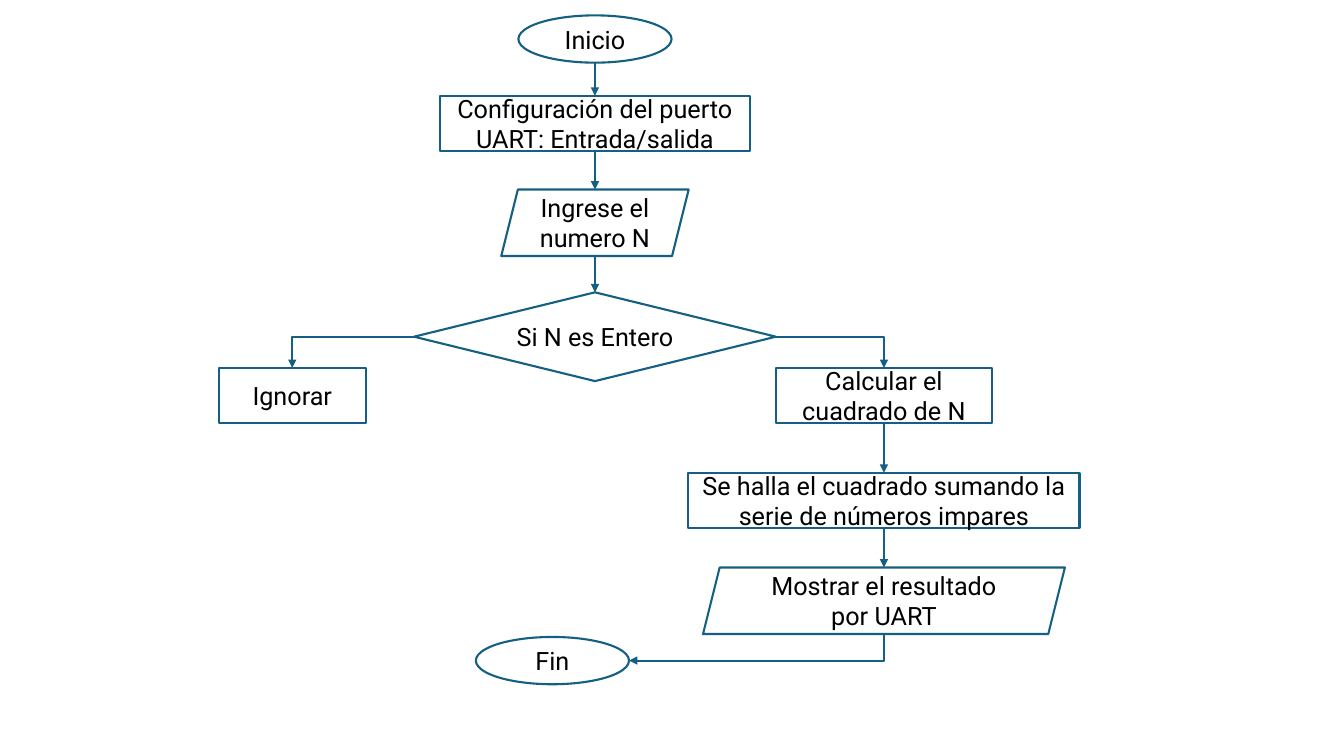
import pptx
import pptx.util
import pptx.dml.color
import pptx.enum.shapes
import pptx.enum.text
import pptx.oxml
import pptx.oxml.ns

Pt = pptx.util.Pt
SHAPE = pptx.enum.shapes.MSO_SHAPE
CONNECTOR = pptx.enum.shapes.MSO_CONNECTOR

LINE, FILL, TEXT = "156082", "FFFFFF", "000000"
FONT = "Roboto"
LEFT_X, FIN_X, MAIN_X, RIGHT_X = 208.8, 394.6, 425, 631.4
KINDS = {
    "terminal": (SHAPE.OVAL, 33.8),
    "process": (SHAPE.RECTANGLE, 39.6),
    "data": (SHAPE.PARALLELOGRAM, 47.5),
    "decision": (SHAPE.DIAMOND, 63.4),
}
STEPS = {
    "inicio": ("terminal", MAIN_X, 11, 109.4, "Inicio"),
    "fin": ("terminal", FIN_X, 455, 109.4, "Fin"),
    "serie": ("process", RIGHT_X, 337.7, 279.4,
              "Se halla el cuadrado sumando la serie de números impares"),
    "ingreso": ("data", MAIN_X, 135.4, 133.9, "Ingrese el numero N"),
    "entero": ("decision", MAIN_X, 208.8, 258.5, "Si N es Entero"),
    "puerto": ("process", MAIN_X, 68.4, 221, "Configuración del puerto UART: Entrada/salida"),
    "ignorar": ("process", LEFT_X, 262.8, 105.1, "Ignorar"),
    "calcular": ("process", RIGHT_X, 262.8, 154.1, "Calcular el cuadrado de N"),
    "mostrar": ("data", RIGHT_X, 405.4, 258.5, "Mostrar el resultado por UART"),
}
STRAIGHT = [("inicio", "puerto"), ("puerto", "ingreso"), ("ingreso", "entero"),
            ("calcular", "serie"), ("serie", "mostrar")]
BENT = [("entero", "left", "ignorar", "top", "tailEnd"),
        ("entero", "right", "calcular", "top", "tailEnd"),
        ("fin", "right", "mostrar", "bottom", "headEnd")]


def rgb(value):
    return pptx.dml.color.RGBColor.from_string(value)


def side(step, name):
    kind, center, top, width, _ = STEPS[step]
    height = KINDS[kind][1]
    return {
        "top": (center, top),
        "bottom": (center, top + height),
        "left": (center - width / 2, top + height / 2),
        "right": (center + width / 2, top + height / 2),
    }[name]


def add_step(slide, kind, center, top, width, text):
    preset, height = KINDS[kind]
    sp = slide.shapes.add_shape(preset, Pt(center - width / 2), Pt(top), Pt(width), Pt(height))
    sp.shadow.inherit = False
    sp.fill.solid()
    sp.fill.fore_color.rgb = rgb(FILL)
    sp.line.color.rgb = rgb(LINE)
    sp.line.width = Pt(1.5)
    tf = sp.text_frame
    tf.word_wrap = True
    tf.vertical_anchor = pptx.enum.text.MSO_ANCHOR.MIDDLE
    p = tf.paragraphs[0]
    p.text = text
    p.alignment = pptx.enum.text.PP_ALIGN.CENTER
    p.font.name = FONT
    p.font.size = Pt(18)
    p.font.color.rgb = rgb(TEXT)


def add_arrow(slide, kind, begin, end, arrow_end="tailEnd"):
    cxn = slide.shapes.add_connector(kind, *(Pt(v) for v in begin + end))
    cxn.line.color.rgb = rgb(LINE)
    cxn.line.width = Pt(1.5)
    ns = pptx.oxml.ns.nsdecls("a")
    ln = cxn.line._get_or_add_ln()
    ln.append(pptx.oxml.parse_xml(f'<a:{arrow_end} {ns} type="triangle"/>'))
    sp_pr = cxn._element.spPr
    sp_pr.append(pptx.oxml.parse_xml(f"<a:effectLst {ns}/>"))
    if kind == CONNECTOR.ELBOW:
        sp_pr.find(pptx.oxml.ns.qn("a:prstGeom")).set("prst", "bentConnector2")


def main():
    prs = pptx.Presentation()
    prs.slide_width, prs.slide_height = Pt(960), Pt(540)
    slide = prs.slides.add_slide(prs.slide_layouts[6])
    for step in STEPS.values():
        add_step(slide, *step)
    for source, target in STRAIGHT:
        add_arrow(slide, CONNECTOR.STRAIGHT, side(source, "bottom"), side(target, "top"))
    for source, out, target, into, arrow_end in BENT:
        add_arrow(slide, CONNECTOR.ELBOW, side(source, out), side(target, into), arrow_end)
    prs.save("out.pptx")


if __name__ == "__main__":
    main()
